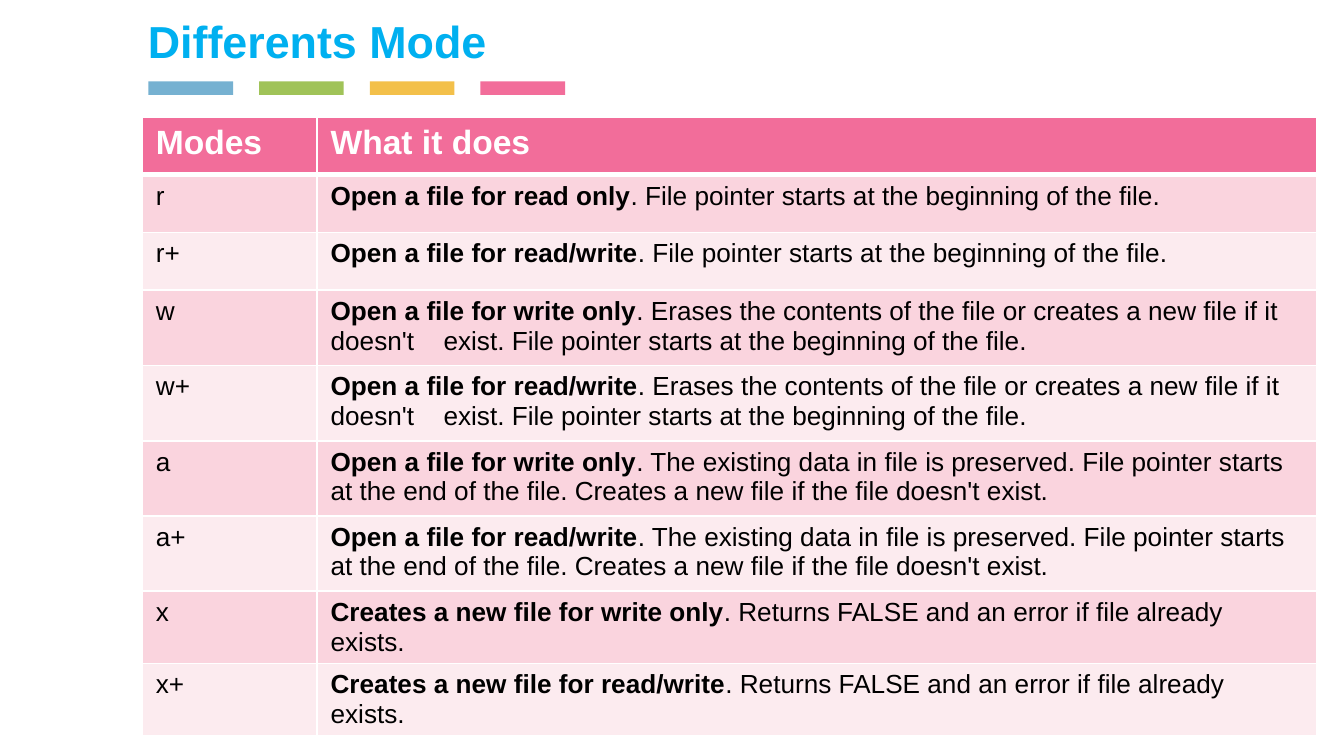
from dataclasses import dataclass
from typing import NamedTuple

from lxml import etree
from pptx import Presentation, util as u
from pptx.dml.color import RGBColor
from pptx.enum import shapes as sh, text as tx
from pptx.oxml.ns import qn


@dataclass(frozen=True)
class Theme:
    font: str = "Arial"
    title: str = "00B0F0"
    ink: str = "000000"
    white: str = "FFFFFF"
    head: str = "F26D9A"
    bands: tuple = ("FAD4DE", "FCEBEF")
    bars: tuple = ("76B1D1", "A0C358", "F3C04A", "F26D9A")
    title_size: int = 24
    head_size: int = 18
    body_size: int = 14


class Mode(NamedTuple):
    name: str
    lead: str
    rest: str
    height: float


class Look(NamedTuple):
    fill: str
    ink: str
    size: int
    bold: bool | None
    bottom: int  # width of the lower border, in points


T = Theme()
LOW, TALL = 0.43, 0.56
READ = "Open a file for read only"
WRITE = "Open a file for write only"
BOTH = "Open a file for read/write"
START = ". File pointer starts at the beginning of the file."
ERASE = (". Erases the contents of the file or creates a new file if it "
         "doesn't\texist. File pointer starts at the beginning of the file.")
KEEP = (". The existing data in file is preserved. File pointer starts at the "
        "end of the file. Creates a new file if the file doesn't exist.")
FAIL = ". Returns FALSE and an error if file already exists."
MODES = [
    Mode("r", READ, START, LOW),
    Mode("r+", BOTH, START, LOW),
    Mode("w", WRITE, ERASE, TALL),
    Mode("w+", BOTH, ERASE, TALL),
    Mode("a", WRITE, KEEP, TALL),
    Mode("a+", BOTH, KEEP, TALL),
    Mode("x", "Creates a new file for write only", FAIL, 0.53),
    Mode("x+", "Creates a new file for read/write", FAIL, LOW),
]


def style(font, color: str, size: int, bold: bool | None) -> None:
    font.name, font.size, font.bold = T.font, u.Pt(size), bold
    font.color.rgb = RGBColor.from_string(color)


def draw_title(slide) -> None:
    title = slide.shapes.title
    title.left, title.top = u.Inches(0), u.Inches(0)
    title.width, title.height = u.Inches(5.31), u.Inches(0.61)
    frame = title.text_frame
    frame.text = "Differents Mode"
    frame.margin_left = u.Inches(1.1)
    frame.auto_size = tx.MSO_AUTO_SIZE.NONE
    frame.vertical_anchor = tx.MSO_ANCHOR.MIDDLE
    para = frame.paragraphs[0]
    para.alignment = tx.PP_ALIGN.LEFT
    style(para.font, T.title, T.title_size, True)


def draw_bars(slide) -> None:
    """Draw the bars upright and turn each a quarter to the left."""
    group = slide.shapes.add_group_shape()
    for i, color in enumerate(T.bars):
        bar = group.shapes.add_shape(
            sh.MSO_SHAPE.RECTANGLE, u.Inches(1.37) + i * u.Inches(2.47) // 3,
            u.Inches(0.34), u.Inches(0.1), u.Inches(0.63))
        bar.rotation = 270
        bar.shadow.inherit = False
        bar.fill.solid()
        bar.fill.fore_color.rgb = RGBColor.from_string(color)
        bar.line.fill.background()


def add_edges(cell, bottom: int) -> None:
    props = cell._tc.get_or_add_tcPr()
    for side, width in (("L", 1), ("R", 1), ("T", 1), ("B", bottom)):
        line = etree.SubElement(props, qn(f"a:ln{side}"), w=str(u.Pt(width)))
        fill = etree.SubElement(line, qn("a:solidFill"))
        etree.SubElement(fill, qn("a:srgbClr"), val=T.white)


def add_tab(para, at: float) -> None:
    stops = etree.Element(qn("a:tabLst"))
    etree.SubElement(stops, qn("a:tab"), pos=str(u.Inches(at)), algn="l")
    props = para._p.get_or_add_pPr()
    props.insert(0, stops)


def fill_cell(cell, look: Look, lead: str, rest: str = "") -> None:
    """Write the text; when there is a rest, the lead is set in bold."""
    add_edges(cell, look.bottom)
    cell.fill.solid()
    cell.fill.fore_color.rgb = RGBColor.from_string(look.fill)
    para = cell.text_frame.paragraphs[0]
    style(para.font, look.ink, look.size, look.bold)
    para.add_run().text = lead
    if rest:
        para.runs[0].font.bold = True
        para.add_run().text = rest
    if "\t" in rest:
        add_tab(para, 0.84)


def draw_table(slide) -> None:
    sizes = [LOW] + [mode.height for mode in MODES]
    widths = (1.3, 7.44)
    table = slide.shapes.add_table(
        len(sizes), len(widths), u.Inches(1.06), u.Inches(0.87),
        u.Inches(sum(widths)), u.Inches(sum(sizes))).table
    table.horz_banding = False
    for col, width in zip(table.columns, widths):
        col.width = u.Inches(width)
    for row, size in zip(table.rows, sizes):
        row.height = u.Inches(size)

    head = Look(T.head, T.white, T.head_size, True, 3)
    for i, label in enumerate(("Modes", "What it does")):
        fill_cell(table.cell(0, i), head, label)
    for i, mode in enumerate(MODES):
        look = Look(T.bands[i % 2], T.ink, T.body_size, False, 1)
        fill_cell(table.cell(i + 1, 0), look, mode.name)
        fill_cell(table.cell(i + 1, 1), look, mode.lead, mode.rest)


def main() -> None:
    deck = Presentation()
    deck.slide_width = u.Inches(10)
    deck.slide_height = deck.slide_width * 9 // 16
    slide = deck.slides.add_slide(deck.slide_layouts[5])
    draw_bars(slide)
    draw_title(slide)
    draw_table(slide)
    deck.save("out.pptx")


if __name__ == "__main__":
    main()
